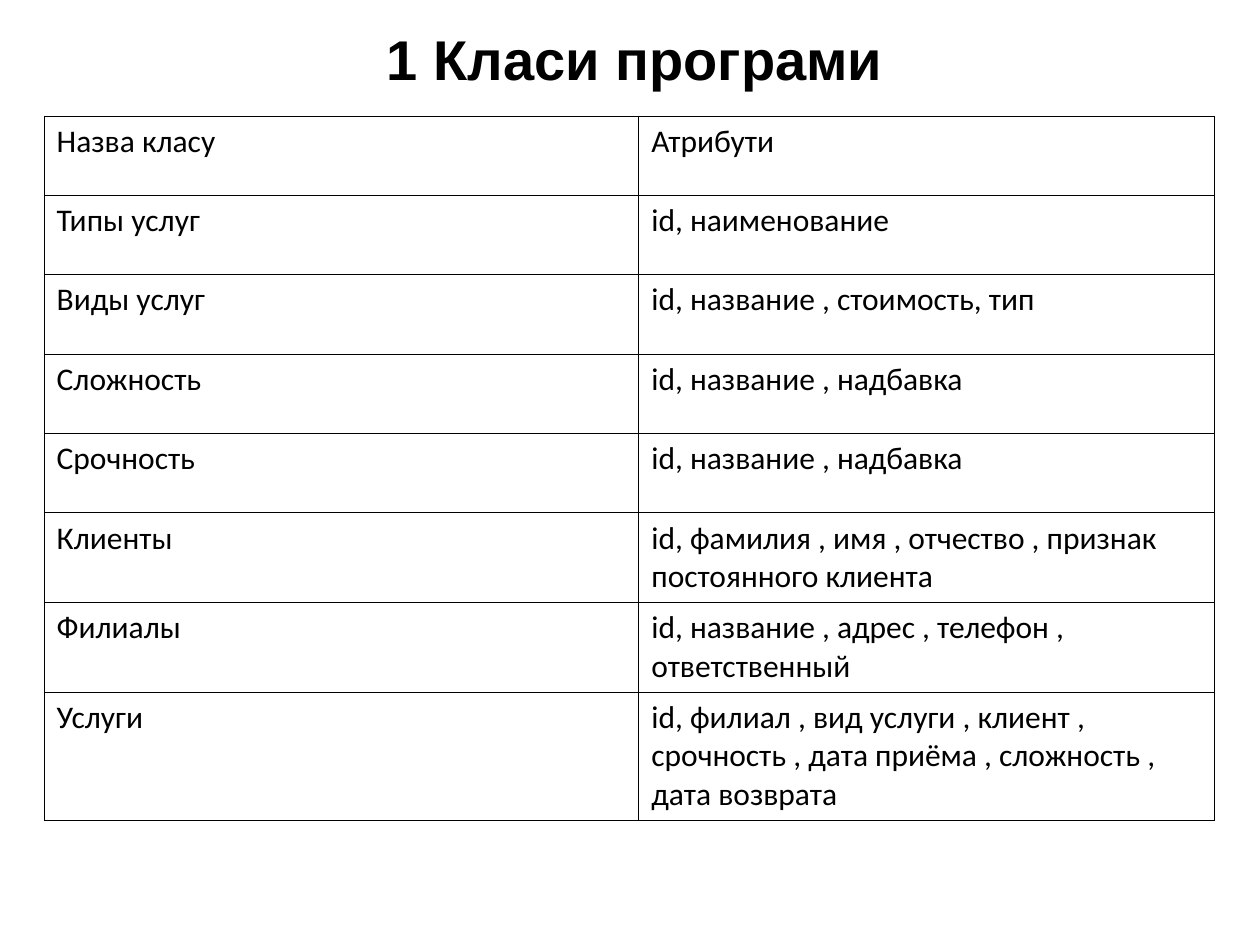
from lxml.etree import SubElement
from pptx import Presentation
from pptx.dml.color import RGBColor
from pptx.enum.text import MSO_ANCHOR, MSO_AUTO_SIZE, PP_ALIGN
from pptx.oxml.ns import qn
from pptx.util import Inches, Pt

COLORS = {"text": "000000", "border": "000000"}
BORDER_WIDTH = Pt(0.45)
COLUMN_WIDTHS = [4.72, 4.57]
ROW_HEIGHTS = [0.63] * 5 + [0.71] * 2 + [1.02]
CLASSES = [
    ("Назва класу", "Атрибути"),
    ("Типы услуг", "id, наименование"),
    ("Виды услуг", "id, название , стоимость, тип"),
    ("Сложность", "id, название , надбавка"),
    ("Срочность", "id, название , надбавка"),
    ("Клиенты", "id, фамилия , имя , отчество , признак постоянного клиента"),
    ("Филиалы", "id, название , адрес , телефон , ответственный"),
    ("Услуги", "id, филиал , вид услуги , клиент , срочность , дата приёма , "
               "сложность , дата возврата"),
]


def set_text(tf, text, font, size, bold=False):
    tf.text = text
    r = tf.paragraphs[0].runs[0]
    r.font.name = font
    r.font.size = Pt(size)
    r.font.bold = bold
    r.font.color.rgb = RGBColor.from_string(COLORS["text"])


def add_title(s, text):
    title = s.shapes.title
    title.left, title.top = Inches(0.04), Inches(0.01)
    title.width, title.height = Inches(10), Inches(0.91)
    tf = title.text_frame
    tf.auto_size = MSO_AUTO_SIZE.NONE
    tf.vertical_anchor = MSO_ANCHOR.MIDDLE
    set_text(tf, text, "Arial", 32, bold=True)
    tf.paragraphs[0].alignment = PP_ALIGN.CENTER


def set_borders(cell):
    tc_pr = cell._tc.get_or_add_tcPr()
    for side in ("a:lnL", "a:lnR", "a:lnT", "a:lnB"):
        line = SubElement(tc_pr, qn(side), w=str(BORDER_WIDTH))
        fill = SubElement(line, qn("a:solidFill"))
        SubElement(fill, qn("a:srgbClr"), val=COLORS["border"])


def add_class_table(s, rows):
    frame = s.shapes.add_table(
        len(rows), len(COLUMN_WIDTHS), Inches(0.35), Inches(0.92),
        Inches(sum(COLUMN_WIDTHS)), Inches(sum(ROW_HEIGHTS)))
    table = frame.table
    table.first_row = False
    table.horz_banding = False
    for column, width in zip(table.columns, COLUMN_WIDTHS):
        column.width = Inches(width)
    for row, height, texts in zip(table.rows, ROW_HEIGHTS, rows):
        row.height = Inches(height)
        for cell, text in zip(row.cells, texts):
            set_text(cell.text_frame, text, "Calibri", 18)
            set_borders(cell)
            cell.fill.background()


def main():
    prs = Presentation()
    prs.slide_width, prs.slide_height = Inches(10), Inches(7.5)
    s = prs.slides.add_slide(prs.slide_layouts[5])
    add_title(s, "1 Класи програми")
    add_class_table(s, CLASSES)
    prs.save("out.pptx")


if __name__ == "__main__":
    main()
